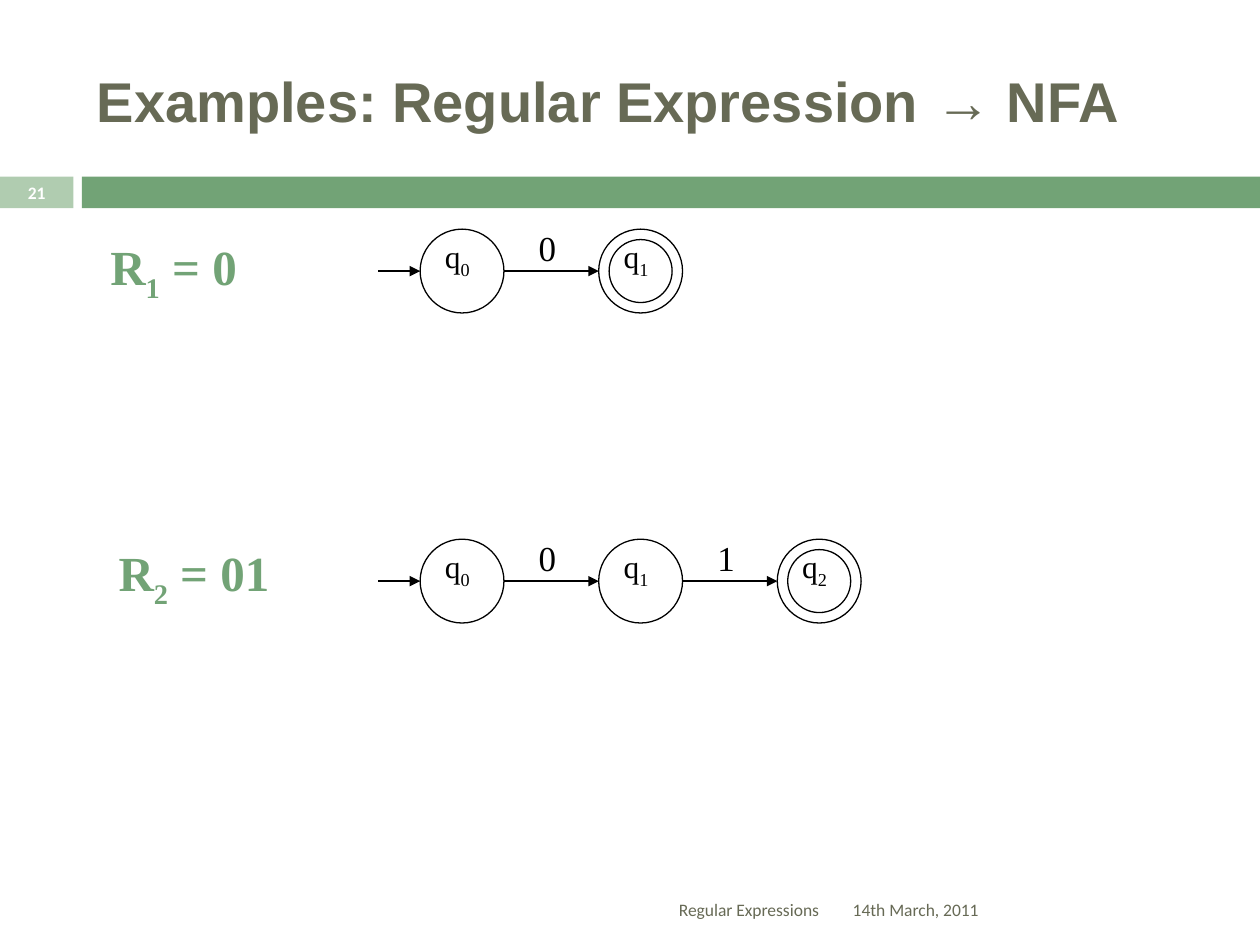
from lxml import etree
from pptx import Presentation
from pptx.dml.color import RGBColor
from pptx.enum import shapes, text
from pptx.oxml import ns
from pptx.util import Cm, Pt

GREEN = RGBColor(0x72, 0xA3, 0x76)
PALE = RGBColor(0xB0, 0xCC, 0xB0)
OLIVE = RGBColor(0x67, 0x6A, 0x55)
BLACK = RGBColor(0, 0, 0)
WHITE = RGBColor(0xFF, 0xFF, 0xFF)
LEFT, CENTER, RIGHT = text.PP_ALIGN.LEFT, text.PP_ALIGN.CENTER, text.PP_ALIGN.RIGHT
TOP, MIDDLE = text.MSO_ANCHOR.TOP, text.MSO_ANCHOR.MIDDLE
SERIF = "Times New Roman"


def write(sp, runs, font=SERIF, size=18, color=BLACK, bold=False,
          align=LEFT, anchor=TOP, wrap=False):
    tf = sp.text_frame
    tf.word_wrap = wrap
    tf.auto_size = text.MSO_AUTO_SIZE.NONE if wrap else text.MSO_AUTO_SIZE.SHAPE_TO_FIT_TEXT
    tf.vertical_anchor = anchor
    p = tf.paragraphs[0]
    p.alignment = align
    for content, style in runs:
        r = p.add_run()
        r.text = content
        r.font.name = SERIF if style == "serif" else font
        r.font.size = Pt(size)
        r.font.bold = bold
        r.font.color.rgb = color
        if style == "sub":
            r._r.get_or_add_rPr().set("baseline", "-25000")


def add_shape(s, kind, x, y, w, h, fill=None):
    sp = s.shapes.add_shape(kind, Cm(x), Cm(y), Cm(w), Cm(h))
    sp.shadow.inherit = False
    if fill is None:
        sp.fill.background()
        sp.line.color.rgb = BLACK
        sp.line.width = Pt(0.75)
    else:
        sp.fill.solid()
        sp.fill.fore_color.rgb = fill
        sp.line.fill.background()
    return sp


prs = Presentation()
prs.slide_width, prs.slide_height = Cm(25.4), Cm(19.05)
s = prs.slides.add_slide(prs.slide_layouts[5])

for x, w, fill in [(0, 1.48, PALE), (1.65, 23.75, GREEN)]:
    add_shape(s, shapes.MSO_SHAPE.RECTANGLE, x, 3.56, w, 0.64, fill)

title = s.shapes.title
title.left, title.top, title.width, title.height = Cm(1.7), Cm(0.64), Cm(22.66), Cm(2.74)
write(title, [("Examples: Regular Expression ", ""), ("→", "serif"), (" NFA", "")],
      font="Arial", size=32, color=OLIVE, bold=True, anchor=MIDDLE, wrap=True)

DIAMETER, INNER, PITCH = 1.69, 1.27, 3.6
FIRST_X, START_X = 8.47, 7.62
INSET = (DIAMETER - INNER) / 2
automata = [
    (4.62, "1", "0", (1.91, 4.65, 3.18)),
    (10.87, "2", "01", (2.13, 10.82, 3.56)),
]

for top, index, word, (x, y, w) in automata:
    tb = s.shapes.add_textbox(Cm(x), Cm(y), Cm(w), Cm(1.45))
    write(tb, [("R", ""), (index, "sub"), (f" = {word}", "")],
          size=28, color=GREEN, bold=True, align=CENTER)

    for i in range(len(word) + 1):
        x = FIRST_X + i * PITCH
        add_shape(s, shapes.MSO_SHAPE.OVAL, x, top, DIAMETER, DIAMETER)
        if i == len(word):
            add_shape(s, shapes.MSO_SHAPE.OVAL, x + INSET, top + INSET, INNER, INNER)
        tb = s.shapes.add_textbox(Cm(x + 0.25), Cm(top + 0.04), Cm(1.19), Cm(1.27))
        write(tb, [("q", ""), (str(i), "sub")])

        begin = x - PITCH + DIAMETER if i else START_X
        mid = Cm(top + DIAMETER / 2)
        c = s.shapes.add_connector(shapes.MSO_CONNECTOR.STRAIGHT, Cm(begin), mid, Cm(x), mid)
        c.line.color.rgb = BLACK
        c.line.width = Pt(0.75)
        etree.SubElement(c.line._get_or_add_ln(), ns.qn("a:tailEnd"), type="triangle")
        etree.SubElement(c._element.spPr, ns.qn("a:effectLst"))
        if i:
            tb = s.shapes.add_textbox(Cm(begin + 0.45), Cm(top - 0.17), Cm(0.84), Cm(1.12))
            write(tb, [(word[i - 1], "")], size=20)

footers = [
    ("14th March, 2011", 16.94, 17.83, 7.42, 1.02, OLIVE, False, LEFT),
    ("21", 0, 3.53, 1.48, 0.69, WHITE, True, CENTER),
    ("Regular Expressions", 1.7, 17.83, 15.06, 1.02, OLIVE, False, RIGHT),
]
for content, x, y, w, h, color, bold, align in footers:
    tb = s.shapes.add_textbox(Cm(x), Cm(y), Cm(w), Cm(h))
    write(tb, [(content, "")], font="Calibri", size=10, color=color, bold=bold,
          align=align, anchor=MIDDLE, wrap=True)

prs.save("out.pptx")
